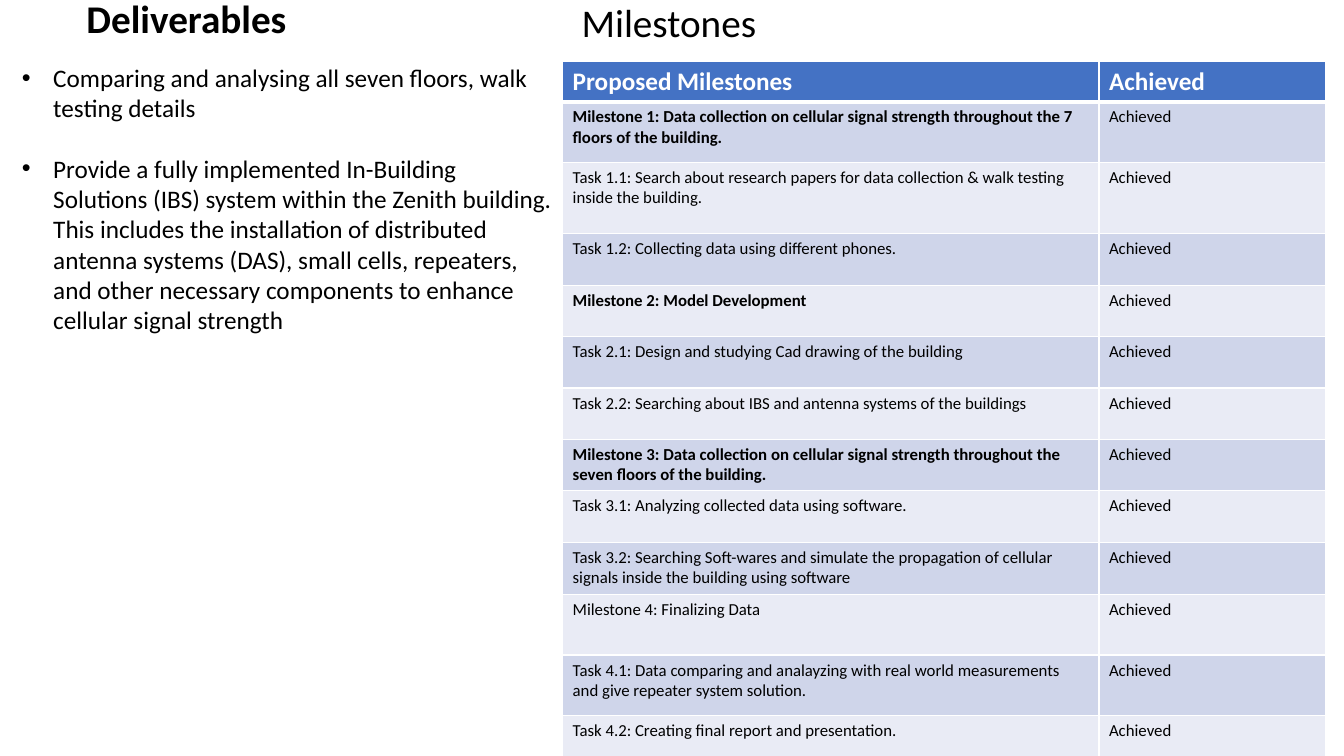
from lxml import etree
from pptx import Presentation
from pptx.dml.color import RGBColor
from pptx.enum.text import MSO_ANCHOR
from pptx.oxml.ns import qn
from pptx.util import Inches, Pt

MIDDLE, TOP = MSO_ANCHOR.MIDDLE, MSO_ANCHOR.TOP
THEME = {
    "font": "Calibri", "text": "000000", "white": "FFFFFF",
    "header": "4472C4", "bands": ("CFD5EA", "E9EBF5"),
    "title": 28, "body": 18, "cell": 12,
}
UNIT = Inches(0.1)  # one step of the layout grid


def write(para, text, size, color=THEME["text"], bold=False, bullet=False, before=0, line=None):
    if bullet:
        properties = para._p.get_or_add_pPr()
        properties.set("marL", str(Inches(0.31)))
        properties.set("indent", str(-Inches(0.31)))
        etree.SubElement(properties, qn("a:buFont"), typeface="Arial")
        etree.SubElement(properties, qn("a:buChar"), char="•")
    if before:
        para.space_before = Pt(before)
    if line:
        para.line_spacing = line
    span = para.add_run()
    span.text = text
    span.font.name = THEME["font"]
    span.font.size = Pt(size)
    span.font.bold = bold
    span.font.color.rgb = RGBColor.from_string(color)


def add_box(page, left, top, width, height, anchor=TOP):
    place = [int(steps * UNIT) for steps in (left, top, width, height)]
    frame = page.shapes.add_textbox(*place).text_frame
    frame.word_wrap = True
    frame.vertical_anchor = anchor
    return frame


deck = Presentation()
deck.slide_width, deck.slide_height = Inches(13.33), Inches(7.5)
page = deck.slides.add_slide(deck.slide_layouts[6])

# Deliverables heading
heading = add_box(page, 7.6, -1.1, 41.4, 6.4, MIDDLE)
write(heading.paragraphs[0], "Deliverables", THEME["title"], bold=True, line=0.9)

# Milestone table: text, bold, row height in grid steps
rows = [
    ("Proposed Milestones", True, 4),
    ("Milestone 1: Data collection on cellular signal strength throughout the 7 "
     "floors of the building.", True, 6),
    ("Task 1.1: Search about research papers for data collection & walk testing "
     "inside the building.", False, 7.1),
    ("Task 1.2: Collecting data using different phones.", False, 5.1),
    ("Milestone 2: Model Development", True, 5.1),
    ("Task 2.1: Design and studying Cad drawing of the building", False, 5.1),
    ("Task 2.2: Searching about IBS and antenna systems of the buildings", False, 5.1),
    ("Milestone 3: Data collection on cellular signal strength throughout the "
     "seven floors of the building.", True, 5.1),
    ("Task 3.1: Analyzing collected data using software.", False, 5.1),
    ("Task 3.2: Searching Soft-wares and simulate the propagation of cellular "
     "signals inside the building using software", False, 5.2),
    ("Milestone 4: Finalizing Data", False, 6),
    ("Task 4.1: Data comparing and analayzing with real world measurements "
     "and give repeater system solution.", False, 6),
    ("Task 4.2: Creating final report and presentation.", False, 6),
]
columns = (53.2, 22.5)
total = sum(height for _, _, height in rows)
table = page.shapes.add_table(
    len(rows), len(columns), int(55.8 * UNIT), int(6.1 * UNIT),
    int(sum(columns) * UNIT), int(total * UNIT)).table
for column, width in zip(table.columns, columns):
    column.width = int(width * UNIT)

for index, (label, bold, height) in enumerate(rows):
    table.rows[index].height = int(height * UNIT)
    is_header = index == 0
    fill = THEME["header"] if is_header else THEME["bands"][(index - 1) % 2]
    weights = {"L": 1, "R": 1, "T": 3 if index == 1 else 1, "B": 3 if is_header else 1}
    for number, text in enumerate((label, "Achieved")):
        cell = table.cell(index, number)
        cell.fill.solid()
        cell.fill.fore_color.rgb = RGBColor.from_string(fill)
        write(cell.text_frame.paragraphs[0], text,
              THEME["body"] if is_header else THEME["cell"],
              color=THEME["white"] if is_header else THEME["text"],
              bold=is_header or (bold and number == 0))
        # White cell borders
        properties = cell._tc.get_or_add_tcPr()
        for order, (side, weight) in enumerate(weights.items()):
            border = etree.Element(qn(f"a:ln{side}"), w=str(Pt(weight)))
            paint = etree.SubElement(border, qn("a:solidFill"))
            etree.SubElement(paint, qn("a:srgbClr"), val=THEME["white"])
            properties.insert(order, border)

# Milestones heading
heading = add_box(page, 56.7, -0.7, 31.6, 5.7)
write(heading.paragraphs[0], "Milestones", THEME["title"])

# Deliverables list
deliverables = add_box(page, 1.2, 5.7, 54.6, 28.3)
write(deliverables.paragraphs[0],
      "Comparing and analysing all seven floors, walk testing details",
      THEME["body"], bullet=True)
write(deliverables.add_paragraph(),
      "Provide a fully implemented In-Building Solutions (IBS) system within the "
      "Zenith building. This includes the installation of distributed antenna "
      "systems (DAS), small cells, repeaters, and other necessary components to "
      "enhance cellular signal strength",
      THEME["body"], bullet=True, before=21.6)

deck.save("out.pptx")
